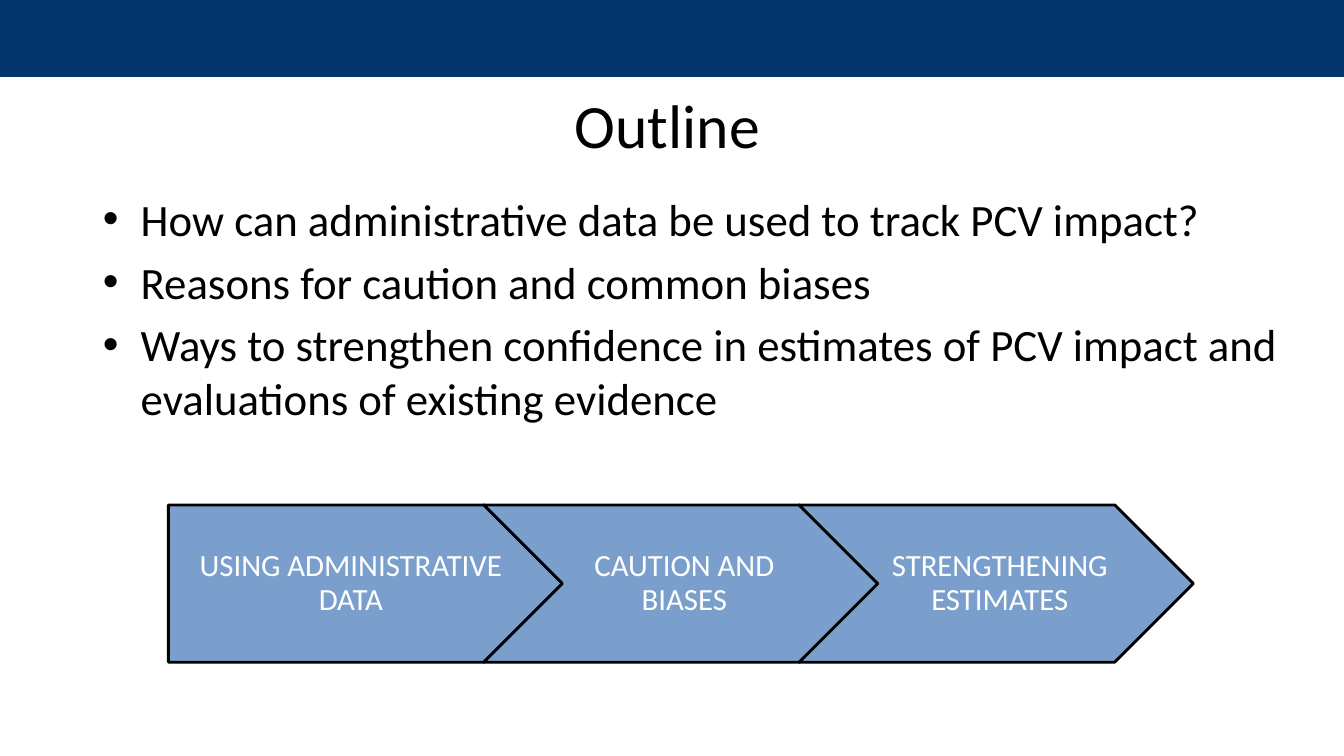
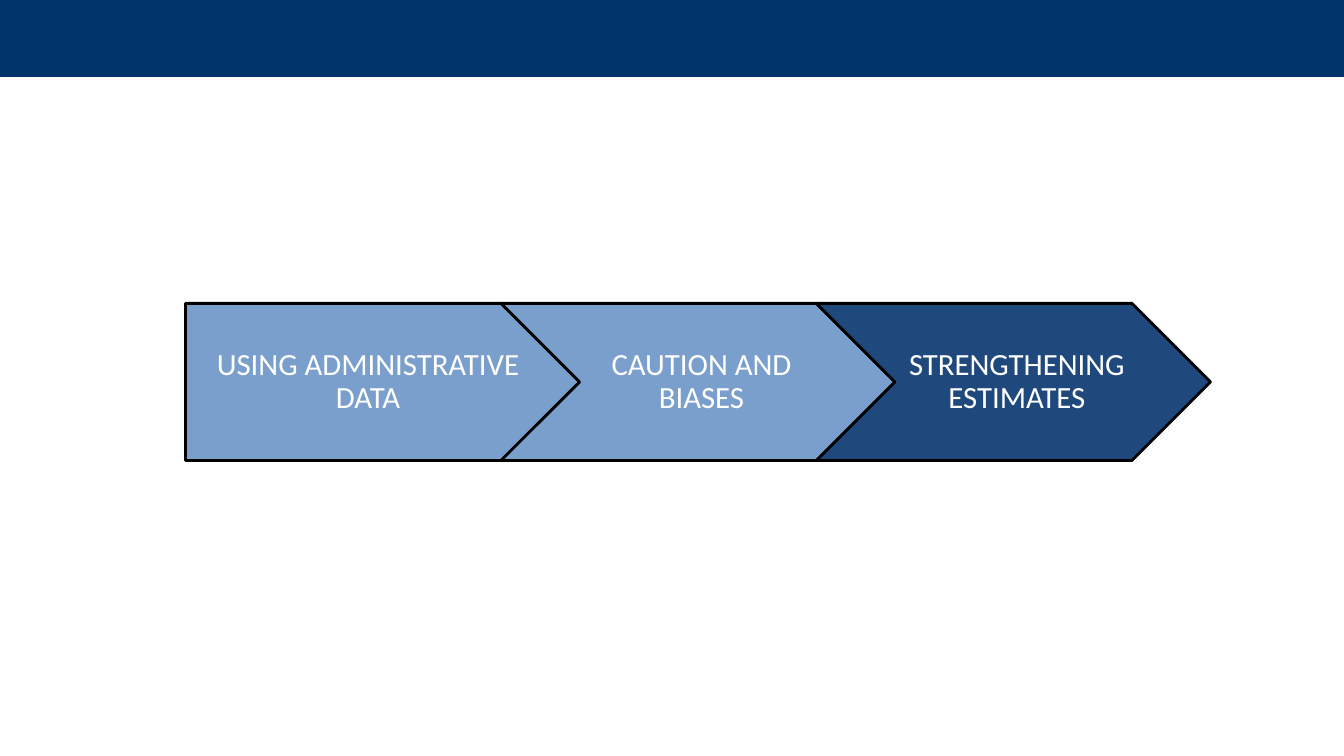
import pptx
import pptx.util
import pptx.dml.color
import pptx.enum.shapes
import pptx.enum.text

Inches = pptx.util.Inches
Pt = pptx.util.Pt
RGBColor = pptx.dml.color.RGBColor
Shape = pptx.enum.shapes.MSO_SHAPE
Align = pptx.enum.text.PP_ALIGN
Anchor = pptx.enum.text.MSO_ANCHOR
Fit = pptx.enum.text.MSO_AUTO_SIZE

NAVY = RGBColor(0x00, 0x34, 0x6A)
SKY = RGBColor(0x7A, 0x9F, 0xCC)
DEEP = RGBColor(0x1F, 0x49, 0x7D)
BLACK = RGBColor(0x00, 0x00, 0x00)
WHITE = RGBColor(0xFF, 0xFF, 0xFF)

FONT = "Calibri"
STEPS = ["USING ADMINISTRATIVE DATA", "CAUTION AND BIASES", "STRENGTHENING ESTIMATES"]
POINTS = [
    "How can administrative data be used to track PCV impact?",
    "Reasons for caution and common biases",
    "Ways to strengthen confidence in estimates of PCV impact and evaluations of existing evidence",
]


def write(frame, lines, size=32, color=BLACK, align=Align.LEFT, anchor=Anchor.TOP, gap=0, pitch=None):
    """Fill a text frame with one paragraph per line."""
    frame.word_wrap = True
    frame.auto_size = Fit.NONE
    frame.vertical_anchor = anchor
    for rank, line in enumerate(lines):
        para = frame.paragraphs[0] if rank == 0 else frame.add_paragraph()
        para.text = line
        para.alignment = align
        para.space_before = Pt(gap if rank else 0)
        if pitch:
            para.line_spacing = pitch
        para.font.name = FONT
        para.font.size = Pt(size)
        para.font.color.rgb = color


class Deck:
    """Hold the shared style and the current slide."""

    def __init__(self):
        """Start an empty wide deck."""
        self.show = pptx.Presentation()
        self.show.slide_width = Inches(13.33)
        self.show.slide_height = Inches(7.5)
        self.slide = None

    def start(self, layout):
        """Add a slide with the top band."""
        self.slide = self.show.slides.add_slide(self.show.slide_layouts[layout])
        self.shape(Shape.RECTANGLE, (0, 0, 13.33, 0.75), NAVY, NAVY)

    def shape(self, kind, box, fill, line):
        """Add a filled and outlined preset shape."""
        item = self.slide.shapes.add_shape(kind, *map(Inches, box))
        item.shadow.inherit = False
        item.fill.solid()
        item.fill.fore_color.rgb = fill
        item.line.color.rgb = line
        item.line.width = Pt(2)
        return item

    def place(self, holder, box):
        """Move a placeholder and return its text frame."""
        holder.left, holder.top, holder.width, holder.height = map(Inches, box)
        return holder.text_frame

    def title(self, text):
        """Write the slide title."""
        frame = self.place(self.slide.shapes.title, (0.62, 0.6, 12, 1.25))
        write(frame, [text], size=44, align=Align.CENTER, anchor=Anchor.MIDDLE)

    def body(self, lines):
        """Write the bullet list."""
        frame = self.place(self.slide.placeholders[1], (0.92, 1.85, 11.92, 4.53))
        write(frame, lines, gap=6.4)

    def chain(self, left, top, fills):
        """Draw the row of interlocking step arrows."""
        wide, high = 3.91, 1.56
        for rank, (step, fill) in enumerate(zip(STEPS, fills)):
            kind = Shape.CHEVRON if rank else Shape.PENTAGON
            item = self.shape(kind, (left + rank * wide * 0.8, top, wide, high), fill, BLACK)
            frame = item.text_frame
            frame.margin_left = Inches(0.1 if rank else 0.13)
            frame.margin_right = Inches(0.03)
            frame.margin_top = frame.margin_bottom = Inches(0.06)
            write(frame, [step], size=22, color=WHITE, align=Align.CENTER, anchor=Anchor.MIDDLE, pitch=0.9)


def main():
    """Build and save the deck."""
    deck = Deck()
    deck.start(1)
    deck.title("Outline")
    deck.body(POINTS)
    deck.chain(1.67, 5.01, [SKY, SKY, SKY])
    deck.start(6)
    deck.chain(1.84, 3.01, [SKY, SKY, DEEP])
    deck.show.save("out.pptx")


if __name__ == "__main__":
    main()
